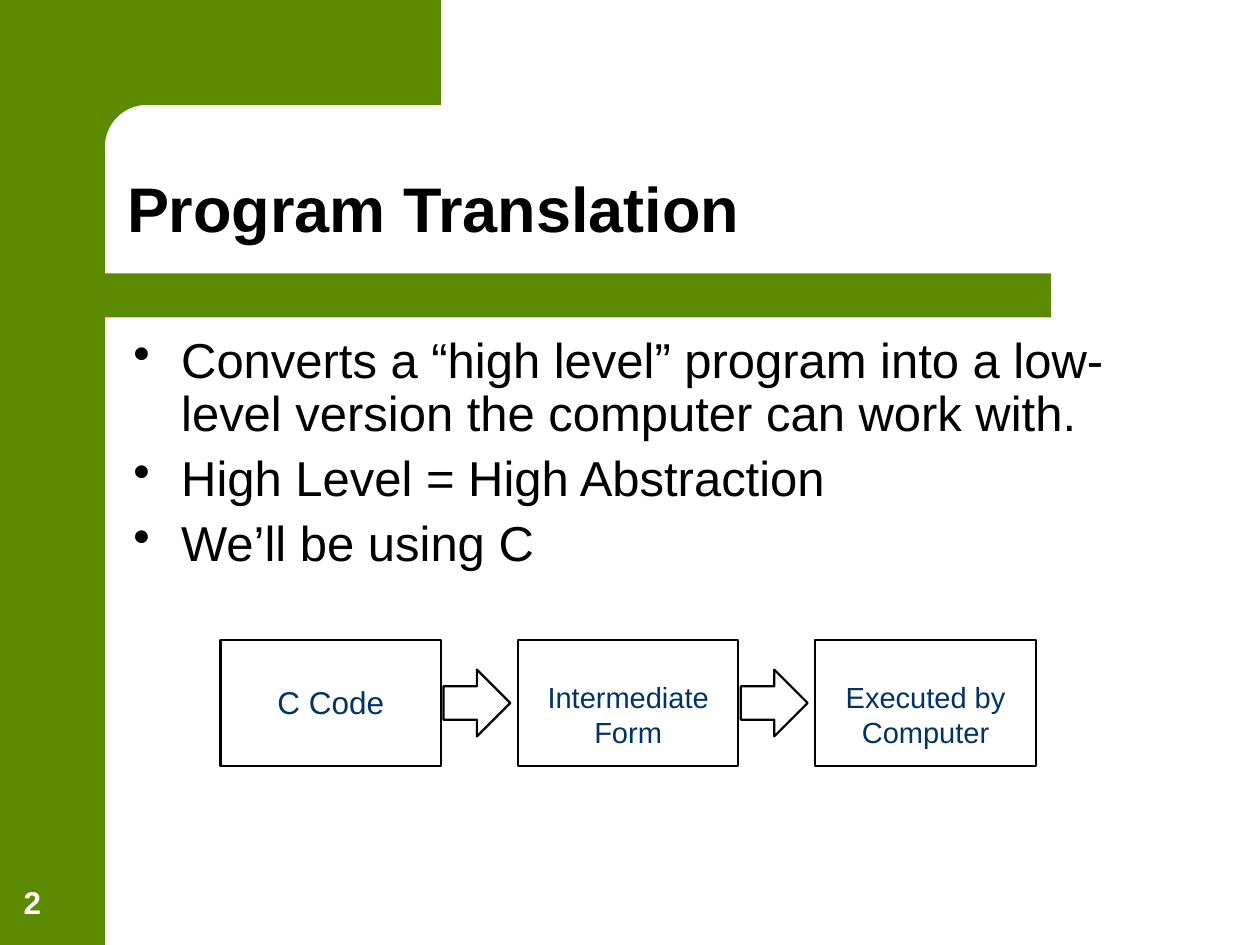
from math import cos, pi, sin

from lxml.etree import SubElement
from pptx import Presentation
from pptx.dml.color import RGBColor
from pptx.enum.shapes import MSO_SHAPE
from pptx.enum.text import MSO_ANCHOR, PP_ALIGN
from pptx.oxml.ns import qn
from pptx.util import Inches, Pt

# Content
TITLE = "Program Translation"
BULLETS = [
    "Converts a “high level” program into a low-level version the computer can work with.",
    "High Level = High Abstraction",
    "We’ll be using C",
]
STEPS = [("C Code", 18), ("Intermediate Form", 16.6), ("Executed by Computer", 16.6)]
PAGE_NUMBER = "2"

# Style
GREEN = RGBColor(0x5C, 0x8A, 0x00)
BLACK = RGBColor(0, 0, 0)
WHITE = RGBColor(0xFF, 0xFF, 0xFF)
NAVY = RGBColor(0x00, 0x33, 0x66)
FONT = "Arial"

# Layout in inches
WIDTH, HEIGHT = 10, 7.5
SIDEBAR = WIDTH / 12
CORNER = 0.33
BAR_TOP, BAR_HEIGHT = 2.17, 0.35
STEP_LEFT, STEP_TOP, STEP_PITCH = 1.75, 5.08, 2.36
STEP_WIDTH, STEP_HEIGHT = 1.75, 1
ARROW_SIZE, ARROW_GAP = 0.53, 0.02


def paint(shape, fill=None, line=None):
    shape.shadow.inherit = False
    if fill is None:
        shape.fill.background()
    else:
        shape.fill.solid()
        shape.fill.fore_color.rgb = fill
    if line is None:
        shape.line.fill.background()
    else:
        shape.line.color.rgb = line
        shape.line.width = Pt(1.25)


def add_shape(page, kind, left, top, width, height, **colors):
    shape = page.shapes.add_shape(
        kind, Inches(left), Inches(top), Inches(width), Inches(height))
    paint(shape, **colors)
    return shape


def style(para, size, color, bold=False):
    para.font.name = FONT
    para.font.size = Pt(size)
    para.font.bold = bold
    para.font.color.rgb = color


def add_text(page, left, top, width, height, lines, anchor=MSO_ANCHOR.TOP):
    box = page.shapes.add_textbox(
        Inches(left), Inches(top), Inches(width), Inches(height))
    frame = box.text_frame
    frame.word_wrap = True
    frame.vertical_anchor = anchor
    frame.text = "\n".join(lines)
    return frame.paragraphs


def add_bullet(para):
    properties = para._p.get_or_add_pPr()
    properties.set("marL", str(Inches(0.38)))
    properties.set("indent", str(-Inches(0.38)))
    SubElement(properties, qn("a:buChar")).set("char", "•")


def add_frame(page):
    # Sidebar and top block, joined by a rounded inner corner
    add_shape(page, MSO_SHAPE.RECTANGLE, 0, 0, SIDEBAR, HEIGHT, fill=GREEN)
    center = SIDEBAR + CORNER
    arc = [(center - CORNER * sin(step * pi / 32), center - CORNER * cos(step * pi / 32))
           for step in range(17)]
    outline = [(3.5, SIDEBAR), *arc, (SIDEBAR, 1.28), (0.5, 1.28), (0.5, 0)]
    builder = page.shapes.build_freeform(Inches(3.5), 0)
    builder.add_line_segments([(Inches(x), Inches(y)) for x, y in outline], close=True)
    paint(builder.convert_to_shape(), fill=GREEN)

    # Bar under the title
    add_shape(page, MSO_SHAPE.RECTANGLE, 0.67, BAR_TOP, 7.67, BAR_HEIGHT, fill=GREEN)


def add_steps(page):
    for index, (label, size) in enumerate(STEPS):
        left = STEP_LEFT + index * STEP_PITCH
        box = add_shape(page, MSO_SHAPE.RECTANGLE, left, STEP_TOP,
                        STEP_WIDTH, STEP_HEIGHT, line=BLACK)
        frame = box.text_frame
        frame.word_wrap = True
        frame.vertical_anchor = MSO_ANCHOR.TOP
        # Labels start one line below the top
        frame.margin_top = Inches(0.05) + Pt(size * 1.15)
        frame.text = label
        frame.paragraphs[0].alignment = PP_ALIGN.CENTER
        style(frame.paragraphs[0], size, NAVY)

        if index < len(STEPS) - 1:
            add_shape(page, MSO_SHAPE.RIGHT_ARROW, left + STEP_WIDTH + ARROW_GAP,
                      STEP_TOP + (STEP_HEIGHT - ARROW_SIZE) / 2,
                      ARROW_SIZE, ARROW_SIZE, line=BLACK)


def main():
    deck = Presentation()
    deck.slide_width, deck.slide_height = Inches(WIDTH), Inches(HEIGHT)
    page = deck.slides.add_slide(deck.slide_layouts[6])
    add_frame(page)

    # Page number and title
    number = add_text(page, 0.09, 6.83, 0.64, 0.53, [PAGE_NUMBER], MSO_ANCHOR.BOTTOM)[0]
    style(number, 18, WHITE, bold=True)
    title = add_text(page, 0.91, 0.91, 8.51, 1.09, [TITLE], MSO_ANCHOR.BOTTOM)[0]
    title.line_spacing = 0.9
    style(title, 36, BLACK, bold=True)

    # Bulleted text
    for index, para in enumerate(add_text(page, 0.96, 2.62, 8.41, 2.25, BULLETS)):
        add_bullet(para)
        para.line_spacing = 0.9
        para.space_before = Pt(7 if index else 0)
        style(para, 28, BLACK)

    add_steps(page)
    deck.save("out.pptx")


if __name__ == "__main__":
    main()
